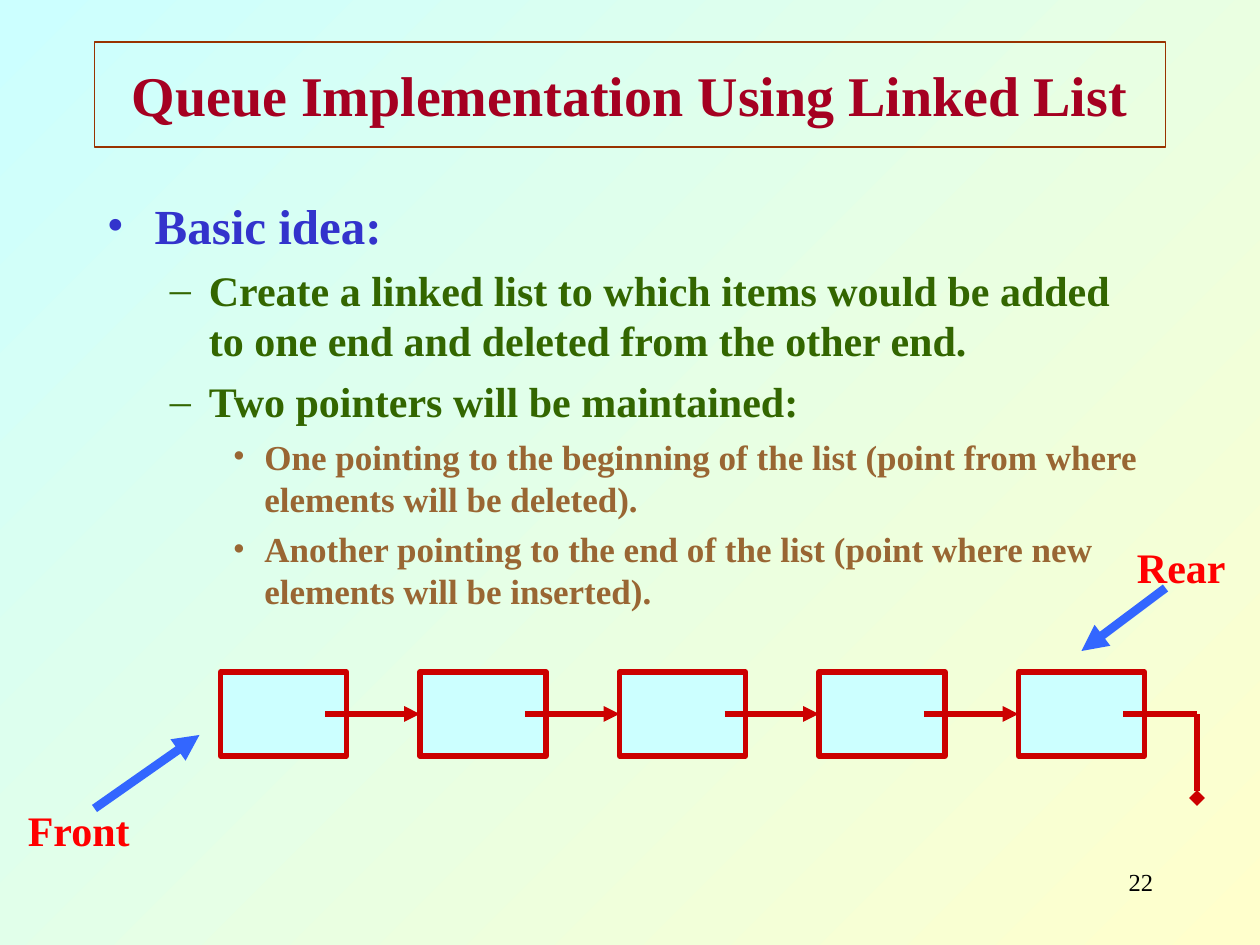
from typing import NamedTuple, Optional

import pptx
import pptx.dml.color
import pptx.enum.shapes
import pptx.enum.text
import pptx.oxml.ns
import pptx.util
from lxml import etree

COLS, ROWS = 120, 90
WIDTH, HEIGHT = pptx.util.Inches(10), pptx.util.Inches(7.5)
FONT = "Times New Roman"
COLORS = {
    "cream": "FFFFCC", "ice": "CCFFFF", "frame": "993300", "title": "A50021",
    "blue": "3333CC", "green": "336600", "brown": "996633", "node": "CC0000",
    "pointer": "3366FF", "label": "FF0000", "black": "000000",
}
ALIGN = pptx.enum.text.PP_ALIGN
ANCHOR = pptx.enum.text.MSO_ANCHOR


class Box(NamedTuple):
    col: float
    row: float
    cols: float
    rows: float

    def lengths(self) -> tuple:
        return (x(self.col), y(self.row), x(self.cols), y(self.rows))


class Level(NamedTuple):
    size: int
    color: str
    bullet: str
    margin: float
    hanging: float
    before: int


class Arrow(NamedTuple):
    start: tuple
    end: tuple
    color: str
    width: float
    head: Optional[str] = None


class Label(NamedTuple):
    text: str
    box: Box
    size: int
    color: str
    bold: bool
    align: ALIGN


LEVELS = [
    Level(28, "blue", "•", 0.38, 0.38, 7),
    Level(24, "green", "–", 0.81, 0.31, 6),
    Level(20, "brown", "•", 1.25, 0.25, 5),
]
OUTLINE = [
    (0, "Basic idea:"),
    (1, "Create a linked list to which items would be added to one end "
        "and deleted from the other end."),
    (1, "Two pointers will be maintained:"),
    (2, "One pointing to the beginning of the list (point from where "
        "elements will be deleted)."),
    (2, "Another pointing to the end of the list (point where new "
        "elements will be inserted)."),
]
NODE_COUNT, NODE_PITCH = 5, 19
FIRST_NODE = Box(21, 64, 12, 8)
LINK_ROW = FIRST_NODE.row + FIRST_NODE.rows / 2
LINK_OFFSET = 10
NULL_COL, NULL_ROW = 114, 76
LABELS = [
    Label("Front", Box(0, 76, 15, 6), 24, "label", True, ALIGN.CENTER),
    Label("Rear", Box(105, 51, 15, 6), 24, "label", True, ALIGN.CENTER),
    Label("22", Box(86, 82, 25, 6), 14, "black", False, ALIGN.RIGHT),
]
POINTERS = [
    Arrow((9, 77), (19, 70), "pointer", 5, "triangle"),
    Arrow((111, 56), (103, 62), "pointer", 5, "triangle"),
]


def x(cols: float) -> int:
    return round(WIDTH * cols / COLS)


def y(rows: float) -> int:
    return round(HEIGHT * rows / ROWS)


def rgb(name: str) -> pptx.dml.color.RGBColor:
    return pptx.dml.color.RGBColor.from_string(COLORS[name])


def add_child(parent, tag: str, **attributes: str):
    return etree.SubElement(parent, pptx.oxml.ns.qn(tag), attributes)


def set_font(p, size: float, color: str, bold: bool = True) -> None:
    p.font.name = FONT
    p.font.size = pptx.util.Pt(size)
    p.font.bold = bold
    p.font.color.rgb = rgb(color)


def set_line(line, color: str, width: float) -> None:
    line.color.rgb = rgb(color)
    line.width = pptx.util.Pt(width)


def paint_background(s) -> None:
    fill = s.background.fill
    fill.gradient()
    fill.gradient_angle = 135
    for stop, color in zip(fill.gradient_stops, ("cream", "ice")):
        stop.color.rgb = rgb(color)


def add_title(s, text: str) -> None:
    sp = s.shapes.title
    sp.left, sp.top, sp.width, sp.height = Box(9, 4, 102, 10).lengths()
    set_line(sp.line, "frame", 0.75)
    tf = sp.text_frame
    tf.text = text
    tf.auto_size = pptx.enum.text.MSO_AUTO_SIZE.NONE
    tf.vertical_anchor = ANCHOR.MIDDLE
    p = tf.paragraphs[0]
    p.alignment = ALIGN.CENTER
    set_font(p, 32, "title")


def add_text_frame(s, box: Box):
    tf = s.shapes.add_textbox(*box.lengths()).text_frame
    tf.word_wrap = True
    return tf


def add_outline(s, box: Box) -> None:
    tf = add_text_frame(s, box)
    for i, (depth, text) in enumerate(OUTLINE):
        level = LEVELS[depth]
        p = tf.add_paragraph() if i else tf.paragraphs[0]
        p.text = text
        p.level = depth
        if i:
            p.space_before = pptx.util.Pt(level.before)
        pPr = p._p.get_or_add_pPr()
        pPr.set("marL", str(pptx.util.Inches(level.margin)))
        pPr.set("indent", str(-pptx.util.Inches(level.hanging)))
        add_child(pPr, "a:buFont", typeface=FONT)
        add_child(pPr, "a:buChar", char=level.bullet)
        set_font(p, level.size, level.color)


def add_label(s, label: Label) -> None:
    p = add_text_frame(s, label.box).paragraphs[0]
    p.text = label.text
    p.alignment = label.align
    set_font(p, label.size, label.color, label.bold)


def add_node(s, box: Box):
    sp = s.shapes.add_shape(pptx.enum.shapes.MSO_SHAPE.RECTANGLE, *box.lengths())
    sp.shadow.inherit = False
    sp.fill.solid()
    sp.fill.fore_color.rgb = rgb("ice")
    set_line(sp.line, "node", 3)
    return sp


def add_arrow(s, arrow: Arrow):
    (x1, y1), (x2, y2) = arrow.start, arrow.end
    line = s.shapes.add_connector(
        pptx.enum.shapes.MSO_CONNECTOR.STRAIGHT, x(x1), y(y1), x(x2), y(y2))
    set_line(line.line, arrow.color, arrow.width)
    if arrow.head:
        add_child(line.line._get_or_add_ln(), "a:tailEnd", type=arrow.head)
    add_child(line._element.spPr, "a:effectLst")
    return line


def add_linked_list(s) -> None:
    cols = [FIRST_NODE.col + i * NODE_PITCH for i in range(NODE_COUNT)]
    nodes = [add_node(s, FIRST_NODE._replace(col=col)) for col in cols]
    for col, next_col, node in zip(cols, cols[1:], nodes[1:]):
        link = add_arrow(s, Arrow((col + LINK_OFFSET, LINK_ROW),
                                  (next_col, LINK_ROW), "node", 3, "triangle"))
        link.end_connect(node, 1)
    corner = (NULL_COL, LINK_ROW)
    add_arrow(s, Arrow((cols[-1] + LINK_OFFSET, LINK_ROW), corner, "node", 3))
    add_arrow(s, Arrow(corner, (NULL_COL, NULL_ROW), "node", 3, "diamond"))


def main() -> None:
    prs = pptx.Presentation()
    prs.slide_width, prs.slide_height = WIDTH, HEIGHT
    s = prs.slides.add_slide(prs.slide_layouts.get_by_name("Title Only"))
    paint_background(s)
    add_title(s, "Queue Implementation Using Linked List")
    add_outline(s, Box(9, 18, 102, 62))
    add_linked_list(s)
    for label in LABELS:
        add_label(s, label)
    for pointer in POINTERS:
        add_arrow(s, pointer)
    prs.save("out.pptx")


if __name__ == "__main__":
    main()
